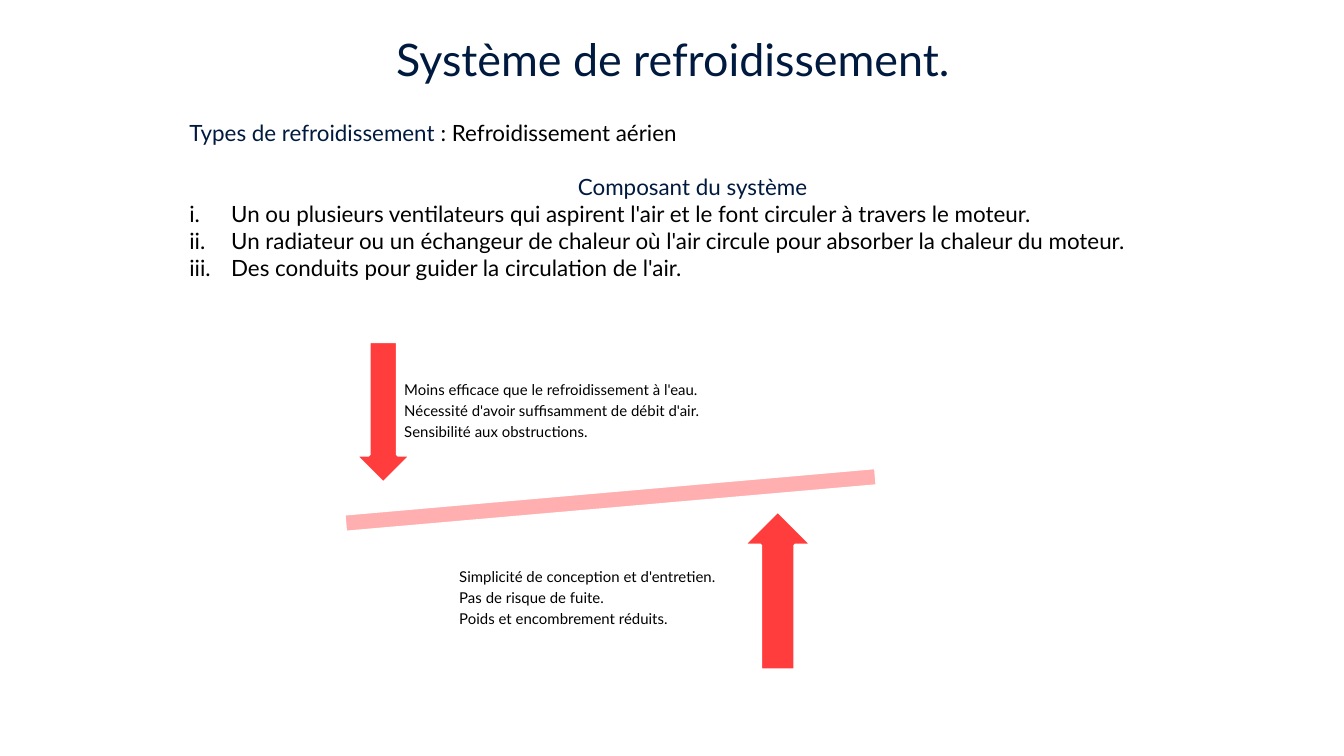
from collections import namedtuple

from lxml import etree
from pptx import Presentation
from pptx.dml.color import RGBColor
from pptx.enum.shapes import MSO_SHAPE
from pptx.enum.text import MSO_ANCHOR, PP_ALIGN
from pptx.oxml.ns import qn
from pptx.util import Cm, Pt

CENTER = PP_ALIGN.CENTER
MIDDLE = MSO_ANCHOR.MIDDLE
MINUS = MSO_SHAPE.MATH_MINUS
DOWN_ARROW = MSO_SHAPE.DOWN_ARROW
UP_ARROW = MSO_SHAPE.UP_ARROW

NAVY = RGBColor(0x00, 0x1A, 0x3F)
BLACK = RGBColor(0x00, 0x00, 0x00)
WHITE = RGBColor(0xFF, 0xFF, 0xFF)
RED = RGBColor(0xFF, 0x3D, 0x3D)
PINK = RGBColor(0xFF, 0xAF, 0xAF)
FONT = "Lato"

Box = namedtuple("Box", "left top width height")

COMPONENTS = [
    "Un ou plusieurs ventilateurs qui aspirent l'air et le font circuler à travers le moteur.",
    "Un radiateur ou un échangeur de chaleur où l'air circule pour absorber la chaleur du moteur.",
    "Des conduits pour guider la circulation de l'air.",
]
DRAWBACKS = [
    "Moins efficace que le refroidissement à l'eau.",
    "Nécessité d'avoir suffisamment de débit d'air.",
    "Sensibilité aux obstructions.",
]
BENEFITS = [
    "Simplicité de conception et d'entretien.",
    "Pas de risque de fuite.",
    "Poids et encombrement réduits.",
]


def inside(box, left, top, width, height):
    return Box(box.left + left, box.top + top, width, height)


def add_text_frame(page, box, inset=None, anchor=None):
    frame = page.shapes.add_textbox(*map(Cm, box)).text_frame
    frame.word_wrap = True
    if inset is not None:
        frame.margin_left = frame.margin_right = Cm(inset)
        frame.margin_top = frame.margin_bottom = Cm(inset)
    if anchor is not None:
        frame.vertical_anchor = anchor
    return frame


def style_runs(para, size, *colours):
    for span, colour in zip(para.runs, colours):
        span.font.name = FONT
        span.font.size = Pt(size)
        span.font.color.rgb = colour


def number_paragraph(para):
    properties = para._p.get_or_add_pPr()
    properties.set("marL", str(Cm(0.79)))
    properties.set("indent", str(-Cm(0.79)))
    bullet_colour = etree.SubElement(properties, qn("a:buClr"))
    etree.SubElement(bullet_colour, qn("a:srgbClr"), val=str(BLACK))
    etree.SubElement(properties, qn("a:buAutoNum"), type="romanLcPeriod")


def add_title(page, box):
    frame = add_text_frame(page, box, 0.25, MIDDLE)
    frame.text = "Système de refroidissement."
    para = frame.paragraphs[0]
    para.alignment = CENTER
    style_runs(para, 24, NAVY)


def add_components(page, box):
    frame = add_text_frame(page, box)
    intro = frame.paragraphs[0]
    intro.text = "Types de refroidissement "
    intro.add_run().text = ": Refroidissement aérien"
    style_runs(intro, 12, NAVY, BLACK)

    heading = frame.add_paragraph()
    heading.text = "Composant du système "
    heading.alignment = CENTER
    heading.space_before = Pt(14.4)
    style_runs(heading, 12, NAVY)

    for component in COMPONENTS:
        para = frame.add_paragraph()
        para.text = component
        number_paragraph(para)
        style_runs(para, 12, BLACK)


def add_figure(page, box, preset, fill, rotation=0):
    figure = page.shapes.add_shape(preset, *map(Cm, box))
    figure.shadow.inherit = False
    figure.rotation = rotation
    figure.fill.solid()
    figure.fill.fore_color.rgb = fill
    figure.line.color.rgb = WHITE
    figure.line.width = Pt(2)


def add_arguments(page, box, arguments):
    frame = add_text_frame(page, box, 0.15, MIDDLE)
    frame.text = "\n".join(arguments)
    for para in frame.paragraphs:
        para.line_spacing = 0.9
        para.space_after = Pt(2.8)
        style_runs(para, 8, BLACK)


def add_balance(page, box):
    add_figure(page, inside(box, 0, 2.34, 13.74, 1.52), MINUS, PINK, 355)
    add_figure(page, inside(box, 2.03, 0.1, 1.09, 2.69), DOWN_ARROW, RED)
    add_arguments(page, inside(box, 2.82, 0, 6.68, 2.87), DRAWBACKS)
    add_figure(page, inside(box, 9.37, 3.3, 1.32, 3.02), UP_ARROW, RED)
    add_arguments(page, inside(box, 3.86, 3.84, 6.32, 2.26), BENEFITS)


def main():
    deck = Presentation()
    deck.slide_width = Cm(25.4)
    deck.slide_height = Cm(14.29)
    page = deck.slides.add_slide(deck.slide_layouts[6])
    add_title(page, Box(2.01, 0.3, 21.41, 1.6))
    add_components(page, Box(3.33, 2.13, 19.63, 4.37))
    add_balance(page, Box(4.67, 6.35, 13.74, 6.32))
    deck.save("out.pptx")


if __name__ == "__main__":
    main()
